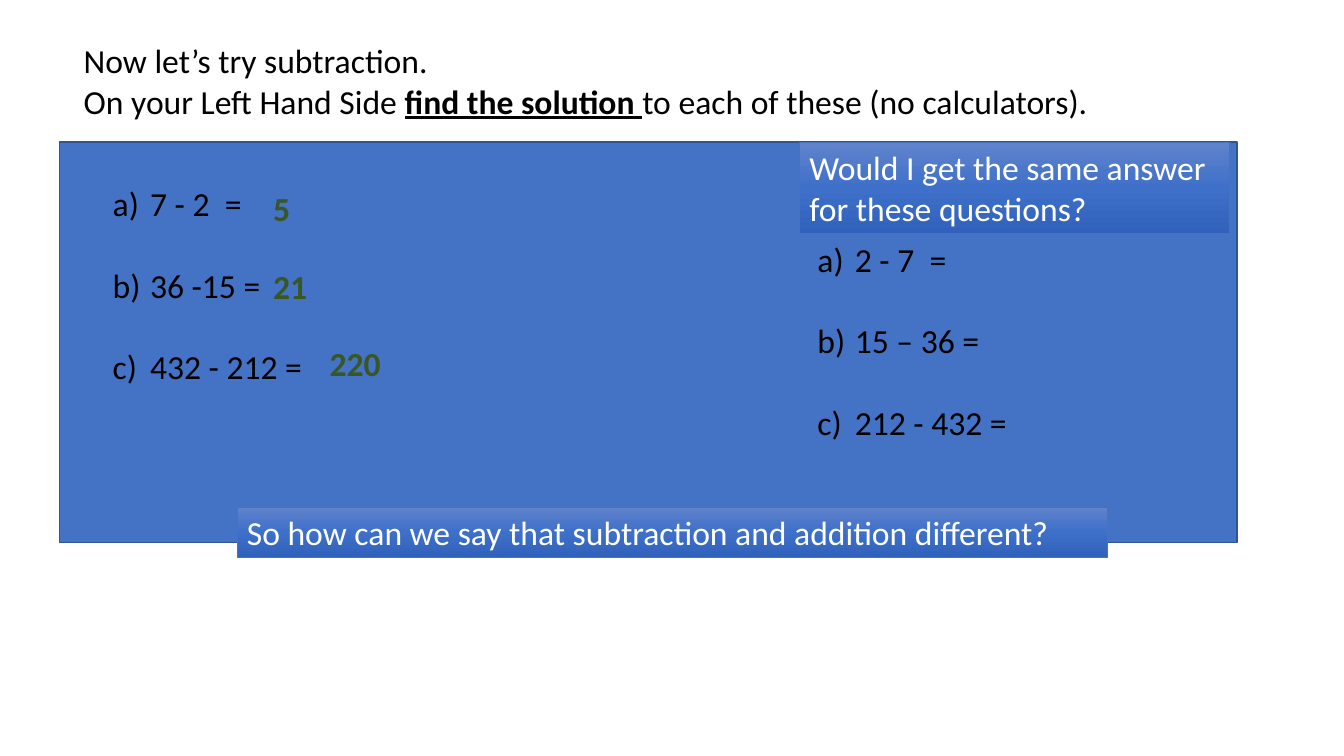
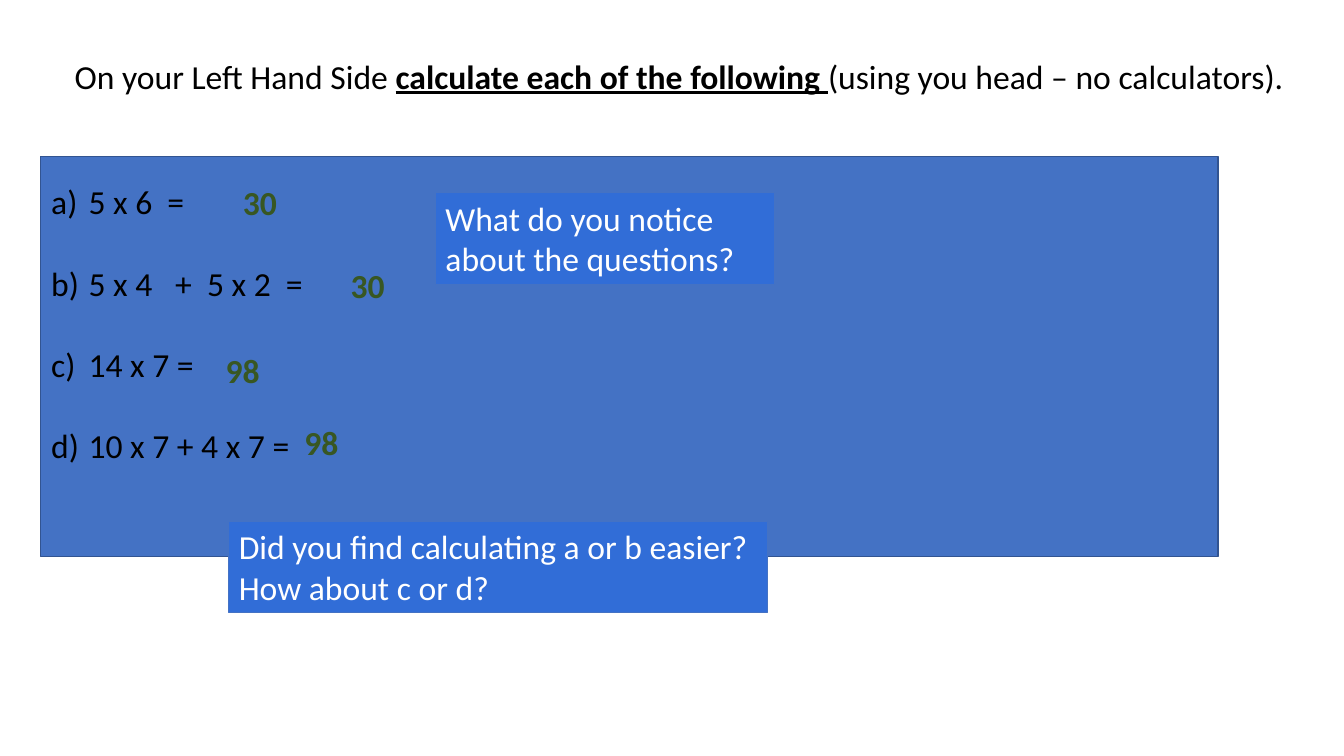
import copy

import pptx
import pptx.dml.color
import pptx.enum.shapes
import pptx.enum.text
import pptx.oxml
import pptx.oxml.ns
import pptx.util

Inches = pptx.util.Inches
Pt = pptx.util.Pt

FONT = "Calibri"
TEXT_SIZE = 24
BLACK, WHITE, GREEN = "000000", "FFFFFF", "385723"
PANEL_FILL, PANEL_LINE = "4472C4", "325491"
PROMPT_LINE = "4472C4"
PROMPT_GRADIENT = [(0, "6183CB"), (0.5, "3E70CA"), (1, "3062BB")]
PROMPT_PLAIN = "316DD7"
PANEL_SIZE = (11.68, 3.97)
LIST_INDENT = 0.37
LIST_GAP = 29.3

SLIDES = [
    {
        "title": (0.73, 0.35, 11.53, 0.91),
        "title_text": [
            ["Now let’s try subtraction."],
            ["On your Left Hand Side ", ("find the solution ",),
             "to each of these (no calculators)."],
        ],
        "panel": (0.59, 1.41),
        "lists": [
            ((1.02, 1.77, 4.53, 2.52), ["7 - 2  =", "36 -15 =", "432 - 212 ="]),
            ((8.01, 2.32, 4.53, 2.52), ["2 - 7  =", "15 – 36 =", "212 - 432 ="]),
        ],
        "answers": [("5", 2.61, 1.82), ("21", 2.61, 2.59), ("220", 3.17, 3.35)],
        "prompt_fill": PROMPT_GRADIENT,
        "prompts": [
            ((7.93, 1.41, 4.26, 0.91), "Would I get the same answer for these questions?"),
            ((2.35, 5.03, 8.63, 0.5),
             "So how can we say that subtraction and addition different?"),
        ],
    },
    {
        "title": (0.64, 0.5, 12.34, 0.5),
        "title_text": [
            ["On your Left Hand Side ", ("calculate each of the following ",),
             "(using you head – no calculators)."],
        ],
        "panel": (0.4, 1.55),
        "lists": [
            ((0.41, 1.75, 4.53, 3.33),
             ["5 x 6  =", "5 x 4   +  5 x 2  =", "14 x 7 =", "10 x 7 + 4 x 7 ="]),
        ],
        "answers": [("30", 2.31, 1.76), ("30", 3.38, 2.58),
                    ("98", 2.14, 3.42), ("98", 2.92, 4.14)],
        "prompt_fill": PROMPT_PLAIN,
        "prompts": [
            ((4.32, 1.91, 3.36, 0.91), "What do you notice about the questions?"),
            ((2.27, 5.17, 5.34, 0.91),
             "Did you find calculating a or b easier? How about c or d?"),
        ],
    },
]


def rgb(value):
    return pptx.dml.color.RGBColor.from_string(value)


def add_lettering(paragraph):
    properties = paragraph._p.get_or_add_pPr()
    indent = Inches(LIST_INDENT)
    properties.set("marL", str(indent))
    properties.set("indent", str(-indent))
    numbering = pptx.oxml.parse_xml(
        f'<a:buAutoNum {pptx.oxml.ns.nsdecls("a")} type="alphaLcParenR"/>')
    properties.append(numbering)


def write(shape, paragraphs, color=BLACK, bold=False, lettered=False, gap=0):
    frame = shape.text_frame
    frame.word_wrap = True
    frame.auto_size = pptx.enum.text.MSO_AUTO_SIZE.NONE
    frame.vertical_anchor = pptx.enum.text.MSO_ANCHOR.TOP
    for index, pieces in enumerate(paragraphs):
        paragraph = frame.add_paragraph() if index else frame.paragraphs[0]
        paragraph.alignment = pptx.enum.text.PP_ALIGN.LEFT
        if lettered:
            add_lettering(paragraph)
        if index and gap:
            paragraph.space_before = Pt(gap)
        for piece in pieces:
            emphasized = isinstance(piece, tuple)
            run = paragraph.add_run()
            run.text = piece[0] if emphasized else piece
            run.font.name = FONT
            run.font.size = Pt(TEXT_SIZE)
            run.font.color.rgb = rgb(color)
            run.font.bold = bold or emphasized
            run.font.underline = emphasized


def add_text(slide, box, paragraphs, **text_format):
    shape = slide.shapes.add_textbox(*map(Inches, box))
    write(shape, paragraphs, **text_format)


def fill_gradient(shape, stops):
    shape.fill.gradient()
    shape.fill.gradient_angle = 270
    stop_list = shape._element.spPr.find(".//" + pptx.oxml.ns.qn("a:gsLst"))
    while len(stop_list) < len(stops):
        stop_list.append(copy.deepcopy(stop_list[-1]))
    for stop, (position, color) in zip(shape.fill.gradient_stops, stops):
        stop.position = position
        stop.color.rgb = rgb(color)


def add_box(slide, box, fill, line, width):
    shape = slide.shapes.add_shape(
        pptx.enum.shapes.MSO_SHAPE.RECTANGLE, *map(Inches, box))
    shape.shadow.inherit = False
    if isinstance(fill, str):
        shape.fill.solid()
        shape.fill.fore_color.rgb = rgb(fill)
    else:
        fill_gradient(shape, fill)
    shape.line.color.rgb = rgb(line)
    shape.line.width = Pt(width)
    return shape


def build_slide(presentation, content):
    slide = presentation.slides.add_slide(presentation.slide_layouts[5])
    title = slide.shapes.title
    title.left, title.top, title.width, title.height = map(Inches, content["title"])
    write(title, content["title_text"])
    add_box(slide, content["panel"] + PANEL_SIZE, PANEL_FILL, PANEL_LINE, 1)
    for box, questions in content["lists"]:
        add_text(slide, box, [[question] for question in questions],
                 lettered=True, gap=LIST_GAP)
    for answer, left, top in content["answers"]:
        add_text(slide, (left, top, 0.9, 0.5), [[answer]], color=GREEN, bold=True)
    for box, prompt in content["prompts"]:
        shape = add_box(slide, box, content["prompt_fill"], PROMPT_LINE, 0.5)
        write(shape, [[prompt]], color=WHITE)


def main():
    presentation = pptx.Presentation()
    presentation.slide_width = Inches(13.33)
    presentation.slide_height = Inches(7.5)
    for content in SLIDES:
        build_slide(presentation, content)
    presentation.save("out.pptx")


if __name__ == "__main__":
    main()
